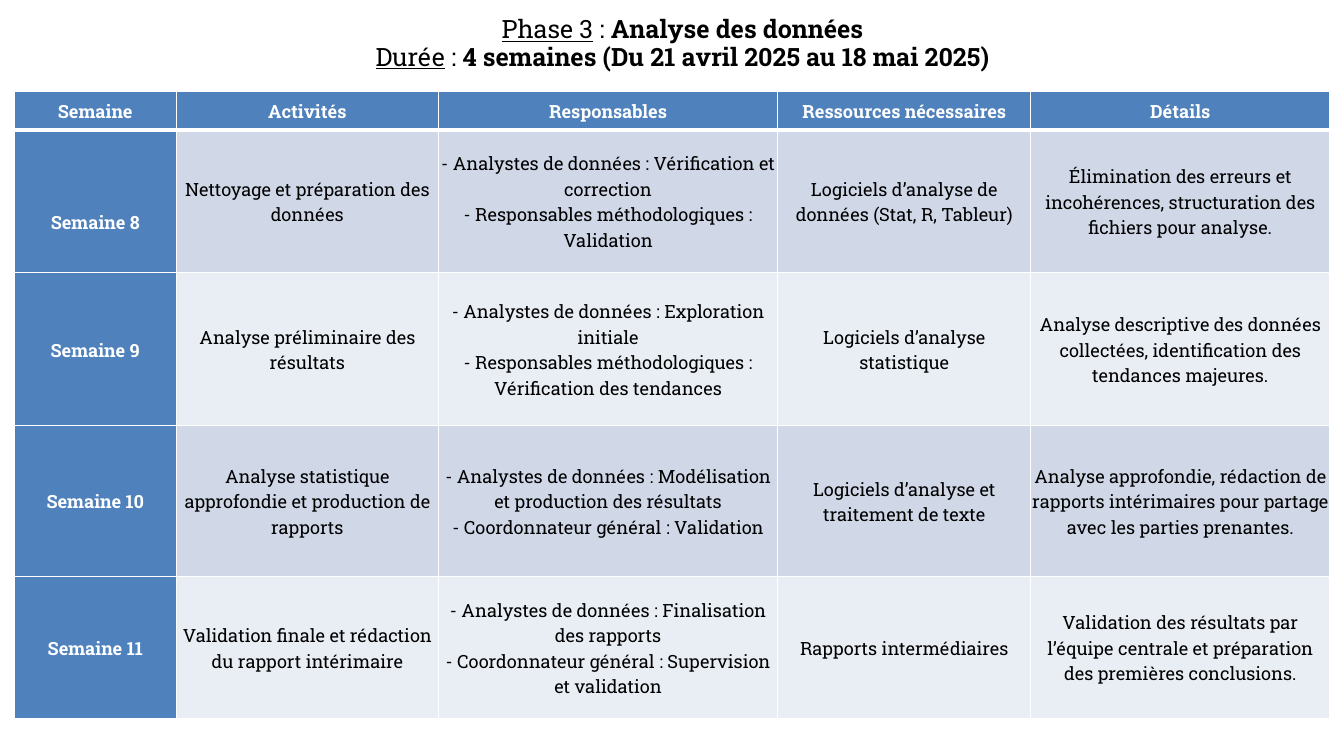
import pptx
import pptx.util
import pptx.dml.color
import pptx.enum.text
from dataclasses import dataclass
from lxml import etree
from pptx.util import Inches, Pt


@dataclass(frozen=True)
class Theme:
    """Colours, font and type sizes of the slide."""
    font: str = "Roboto Slab"
    head: str = "4F81BD"
    bands: tuple = ("D0D8E8", "E9EDF4")
    white: str = "FFFFFF"
    black: str = "000000"
    title: int = 18
    body: int = 13
    thin: int = 1
    thick: int = 3


THEME = Theme()
MID = pptx.enum.text.PP_ALIGN.CENTER

TITLE = [
    [("Phase 3", False, True), (" : ", False, False),
     ("Analyse des données", True, False)],
    [("Durée", False, True), (" ", True, False), (": ", False, False),
     ("4 semaines (Du 21 avril 2025 au 18 mai 2025)", True, False)],
]
COLS = [1.61, 2.6, 3.37, 2.51, 2.97]
ROWS = [0.38, 1.41, 1.52, 1.49, 1.41]
PLAN = [
    ["Semaine", "Activités", "Responsables", "Ressources nécessaires", "Détails"],
    ["Semaine 8",
     "Nettoyage et préparation des données",
     "- Analystes de données : Vérification et correction\n"
     "- Responsables méthodologiques : Validation",
     "Logiciels d’analyse de données (Stat, R, Tableur)",
     "Élimination des erreurs et incohérences, structuration des fichiers pour analyse."],
    ["Semaine 9",
     "Analyse préliminaire des résultats",
     "- Analystes de données : Exploration initiale\n"
     "- Responsables méthodologiques : Vérification des tendances",
     "Logiciels d’analyse statistique",
     "Analyse descriptive des données collectées, identification des tendances majeures."],
    ["Semaine 10",
     "Analyse statistique approfondie et production de rapports",
     "- Analystes de données : Modélisation et production des résultats\n"
     "- Coordonnateur général : Validation",
     "Logiciels d’analyse et traitement de texte",
     "Analyse approfondie, rédaction de rapports intérimaires pour partage "
     "avec les parties prenantes."],
    ["Semaine 11",
     "Validation finale et rédaction du rapport intérimaire",
     "- Analystes de données : Finalisation des rapports\n"
     "- Coordonnateur général : Supervision et validation",
     "Rapports intermédiaires",
     "Validation des résultats par l’équipe centrale et préparation "
     "des premières conclusions."],
]


def rgb(code):
    """Turn a hex code into a colour."""
    return pptx.dml.color.RGBColor.from_string(code)


def add_run(para, text, size, color, bold=False, line=False):
    """Add one styled run to a paragraph."""
    run = para.add_run()
    run.text = text
    font = run.font
    font.name, font.size = THEME.font, Pt(size)
    font.bold, font.underline = bold, line
    font.color.rgb = rgb(color)


def add_edges(cell, top, base):
    """Draw the white borders of a cell, widths in points."""
    props = cell._tc.get_or_add_tcPr()
    space = "http://schemas.openxmlformats.org/drawingml/2006/main"
    sides = [("lnL", THEME.thin), ("lnR", THEME.thin), ("lnT", top), ("lnB", base)]
    for spot, (tag, width) in enumerate(sides):
        edge = etree.Element(f"{{{space}}}{tag}", w=str(Pt(width)))
        fill = etree.SubElement(edge, f"{{{space}}}solidFill")
        etree.SubElement(fill, f"{{{space}}}srgbClr", val=THEME.white)
        props.insert(spot, edge)


def fill_cell(cell, text, row, col):
    """Style and write one cell according to its row and column."""
    head = row == 0 or col == 0
    cell.fill.solid()
    cell.fill.fore_color.rgb = rgb(THEME.head if head else THEME.bands[(row - 1) % 2])
    add_edges(cell, THEME.thick if row == 1 else THEME.thin,
              THEME.thick if row == 0 else THEME.thin)
    cell.vertical_anchor = pptx.enum.text.MSO_ANCHOR.MIDDLE
    cell.margin_left = cell.margin_right = Inches(0.01)
    cell.margin_top = Inches(0.4 if (row, col) == (1, 0) else 0)
    cell.margin_bottom = 0
    para = cell.text_frame.paragraphs[0]
    para.alignment, para.line_spacing, para.space_after = MID, 1.07, Pt(8)
    for spot, part in enumerate(text.split("\n")):
        if spot:
            para.add_line_break()
        add_run(para, part, THEME.body, THEME.white if head else THEME.black, head)


def add_title(slide, left, top, width, height):
    """Place the two-line heading in the title placeholder."""
    shape = slide.shapes.title
    shape.left, shape.top = Inches(left), Inches(top)
    shape.width, shape.height = Inches(width), Inches(height)
    frame = shape.text_frame
    frame.word_wrap = True
    frame.auto_size = pptx.enum.text.MSO_AUTO_SIZE.NONE
    frame.vertical_anchor = pptx.enum.text.MSO_ANCHOR.TOP
    for spot, parts in enumerate(TITLE):
        para = frame.add_paragraph() if spot else frame.paragraphs[0]
        para.alignment, para.line_spacing = MID, 0.9
        para.space_before = Pt(0)
        for text, bold, line in parts:
            add_run(para, text, THEME.title, THEME.black, bold, line)


def add_plan(slide, left, top, width, height):
    """Place the weekly plan table in the given box."""
    table = slide.shapes.add_table(len(ROWS), len(COLS), Inches(left), Inches(top),
                                   Inches(width), Inches(height)).table
    for col, size in zip(table.columns, COLS):
        col.width = Inches(width * size / sum(COLS))
    for row, size in zip(table.rows, ROWS):
        row.height = Inches(height * size / sum(ROWS))
    for row, texts in enumerate(PLAN):
        for col, text in enumerate(texts):
            fill_cell(table.cell(row, col), text, row, col)


def main():
    """Build and save the slide."""
    deck = pptx.Presentation()
    deck.slide_width, deck.slide_height = Inches(13.33), Inches(7.5)
    slide = deck.slides.add_slide(deck.slide_layouts[5])
    add_title(slide, 2.51, 0.12, 8.52, 1.01)
    add_plan(slide, 0.14, 0.91, 13.05, 6.22)
    deck.save("out.pptx")


if __name__ == "__main__":
    main()
